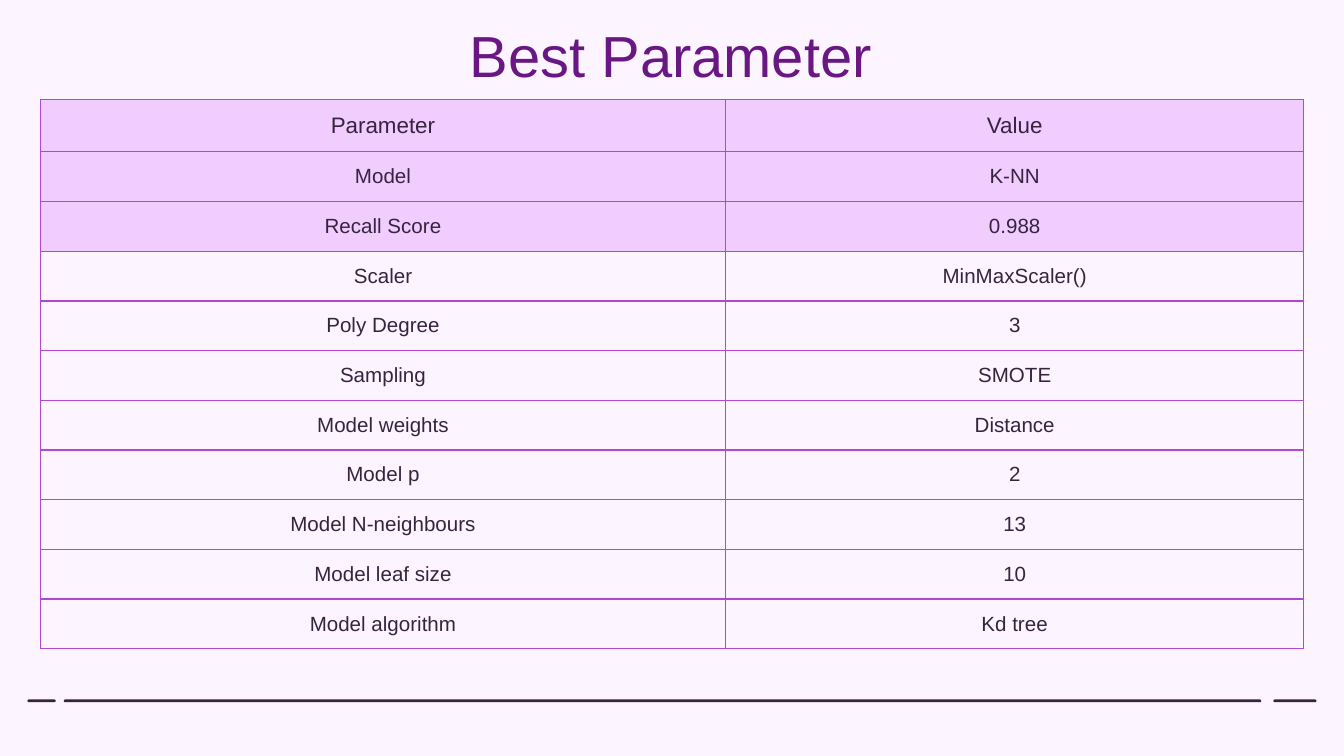
"""Build the Best Parameter slide with its table and footer rule."""
from lxml import etree
from pptx import Presentation
from pptx.dml.color import RGBColor
from pptx.enum.shapes import MSO_SHAPE as SHAPE
from pptx.enum.text import MSO_ANCHOR as ANCHOR, PP_ALIGN as ALIGN
from pptx.oxml.ns import qn
from pptx.util import Inches, Pt

BACKGROUND = RGBColor(0xFC, 0xF4, 0xFF)
INK = RGBColor(0x36, 0x24, 0x3F)
TITLE = RGBColor(0x69, 0x18, 0x83)
HIGHLIGHT = RGBColor(0xF0, 0xCC, 0xFF)
BORDER = RGBColor(0xB1, 0x48, 0xD2)

ROWS = [
    ("Parameter", "Value"),
    ("Model", "K-NN"),
    ("Recall Score", "0.988"),
    ("Scaler", "MinMaxScaler()"),
    ("Poly Degree", "3"),
    ("Sampling", "SMOTE"),
    ("Model weights", "Distance"),
    ("Model p", "2"),
    ("Model N-neighbours", "13"),
    ("Model leaf size", "10"),
    ("Model algorithm", "Kd tree"),
]


def write(tf, text, size, color=INK):
    p = tf.paragraphs[0]
    p.alignment = ALIGN.CENTER
    r = p.add_run()
    r.text = text
    r.font.name = "Arial"
    r.font.size = Pt(size)
    r.font.color.rgb = color


def add_borders(cell):
    tcPr = cell._tc.get_or_add_tcPr()
    for i, side in enumerate(("a:lnL", "a:lnR", "a:lnT", "a:lnB")):
        ln = etree.Element(qn(side), w=str(Pt(0.75)))
        fill = etree.SubElement(ln, qn("a:solidFill"))
        etree.SubElement(fill, qn("a:srgbClr"), val=str(BORDER))
        tcPr.insert(i, ln)


prs = Presentation()
prs.slide_width = Inches(10)
prs.slide_height = Inches(10) * 9 // 16
s = prs.slides.add_slide(prs.slide_layouts[6])
s.background.fill.solid()
s.background.fill.fore_color.rgb = BACKGROUND

for left, width in ((9.48, 0.31), (0.48, 8.9), (0.21, 0.2)):
    sp = s.shapes.add_shape(SHAPE.ROUNDED_RECTANGLE, Inches(left), Inches(5.21),
                            Inches(width), Inches(0.01))
    sp.adjustments[0] = 0.5
    sp.shadow.inherit = False
    sp.fill.solid()
    sp.fill.fore_color.rgb = INK
    sp.line.color.rgb = INK
    sp.line.width = Pt(0.75)

tf = s.shapes.add_textbox(Inches(1.5), Inches(0.05), Inches(6.98), Inches(0.66)).text_frame
tf.word_wrap = True
tf.margin_left = tf.margin_right = tf.margin_top = Inches(0.1)
tf.margin_bottom = 0
write(tf, "Best Parameter", size=31, color=TITLE)

table = s.shapes.add_table(len(ROWS), 2, Inches(0.3), Inches(0.74),
                           Inches(9.4), Inches(4.09)).table
table.columns[0].width = Inches(5.1)
table.columns[1].width = Inches(4.3)
for i, values in enumerate(ROWS):
    table.rows[i].height = Inches(0.37 if i else 0.39)
    for j, value in enumerate(values):
        cell = table.cell(i, j)
        cell.vertical_anchor = ANCHOR.MIDDLE
        cell.margin_left = cell.margin_right = Inches(0.1)
        cell.margin_top = cell.margin_bottom = Inches(0.09)
        if i < 3:
            cell.fill.solid()
            cell.fill.fore_color.rgb = HIGHLIGHT
        else:
            cell.fill.background()
        add_borders(cell)
        write(cell.text_frame, value, size=11 if i else 12)

prs.save("out.pptx")
